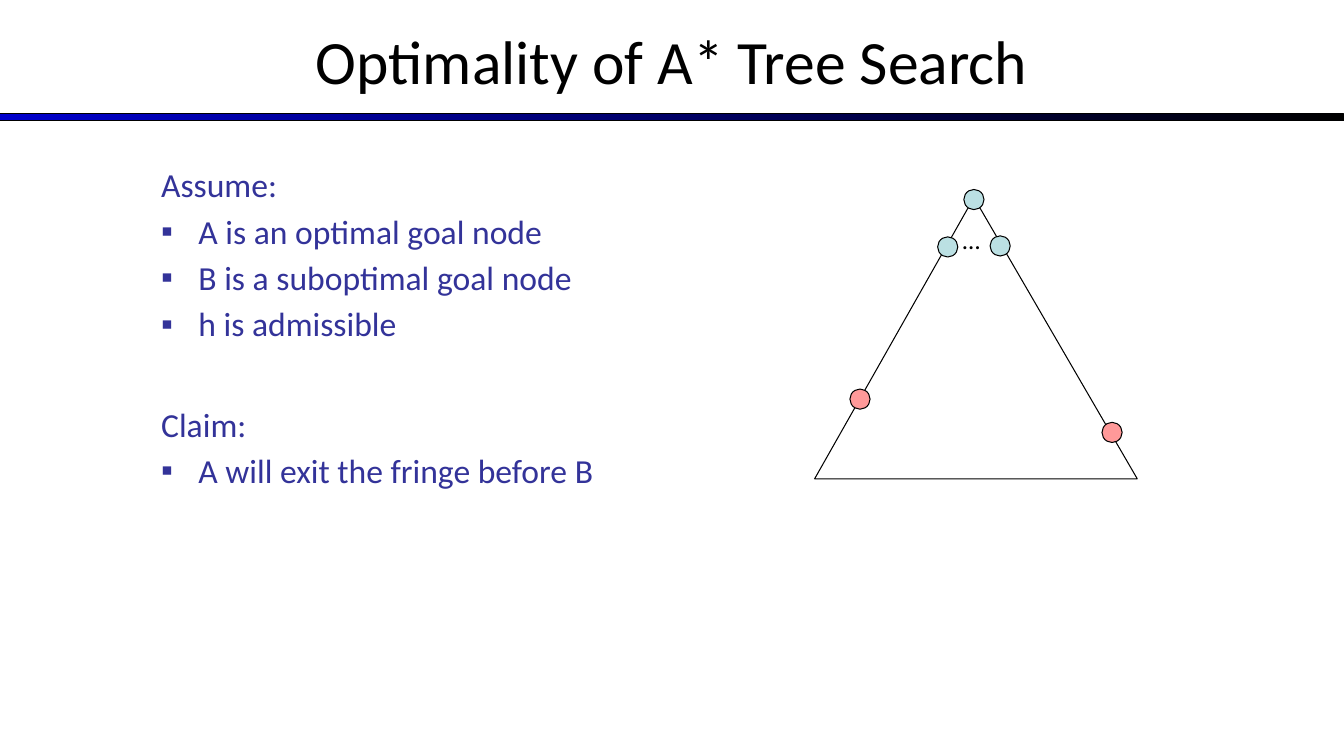
from lxml import etree
from pptx import Presentation
from pptx import util as u
from pptx.dml.color import RGBColor
from pptx.enum import shapes, text
from pptx.oxml import ns

COLORS = {
    "ink": "000000",
    "body": "333399",
    "bar": "0000CC",
    "open": "BBE0E3",
    "goal": "FF9999",
}


class SlideBuilder:
    font = "Calibri"
    cell = u.Inches(0.1)
    indent = u.Inches(0.37)

    def __init__(self, columns, rows):
        self.deck = Presentation()
        self.deck.slide_width, self.deck.slide_height = self.grid(columns, rows)
        self.slide = self.deck.slides.add_slide(self.deck.slide_layouts[6])

    def grid(self, *cells):
        return [u.Emu(round(count * self.cell)) for count in cells]

    def color(self, name):
        return RGBColor.from_string(COLORS[name])

    def outline(self, shape):
        shape.shadow.inherit = False
        shape.line.color.rgb = self.color("ink")
        shape.line.width = u.Pt(0.75)

    def gradient_bar(self, left, top, width, height, stops):
        bar = self.slide.shapes.add_shape(
            shapes.MSO_SHAPE.RECTANGLE, *self.grid(left, top, width, height))
        self.outline(bar)
        bar.fill.gradient()
        bar.fill.gradient_angle = 0
        for stop, position, name in zip(bar.fill.gradient_stops, (0, 1), stops):
            stop.position = position
            stop.color.rgb = self.color(name)

    def textbox(self, left, top, width, height, content, size, color="ink",
                align=text.PP_ALIGN.LEFT, anchor=text.MSO_ANCHOR.TOP):
        box = self.slide.shapes.add_textbox(*self.grid(left, top, width, height))
        frame = box.text_frame
        frame.text = content
        frame.word_wrap = True
        frame.vertical_anchor = anchor
        for para in frame.paragraphs:
            para.alignment = align
            for span in para.runs:
                span.font.name = self.font
                span.font.size = u.Pt(size)
                span.font.color.rgb = self.color(color)
        return frame

    def bullet(self, para):
        properties = para._p.get_or_add_pPr()
        properties.set("marL", str(self.indent))
        properties.set("indent", str(-self.indent))
        etree.SubElement(properties, ns.qn("a:buFont"), typeface="Arial")
        etree.SubElement(properties, ns.qn("a:buChar"), char="▪")

    def sections(self, left, top, width, height, groups, size, gap, group_gap):
        lines = [(line, index > 0)
                 for heading, items in groups
                 for index, line in enumerate([heading, *items])]
        content = "\n".join(line for line, _ in lines)
        frame = self.textbox(left, top, width, height, content, size, "body")
        for number, (para, (_, bulleted)) in enumerate(zip(frame.paragraphs, lines)):
            if number:
                para.space_before = u.Pt(gap if bulleted else group_gap)
            if bulleted:
                self.bullet(para)

    def polygon(self, *corners):
        start, *others = [self.grid(*corner) for corner in corners]
        builder = self.slide.shapes.build_freeform(*start)
        builder.add_line_segments(others, close=True)
        polygon = builder.convert_to_shape()
        polygon.fill.background()
        self.outline(polygon)

    def node(self, x, y, color, diameter=2):
        node = self.slide.shapes.add_shape(
            shapes.MSO_SHAPE.OVAL,
            *self.grid(x - diameter / 2, y - diameter / 2, diameter, diameter))
        node.fill.solid()
        node.fill.fore_color.rgb = self.color(color)
        self.outline(node)


def main():
    page = SlideBuilder(133.3, 75)
    page.gradient_bar(0, 11.3, 133.3, 0.7, ("bar", "ink"))
    page.textbox(0, -0.3, 133.3, 12.5, "Optimality of A* Tree Search", 44,
                 align=text.PP_ALIGN.CENTER, anchor=text.MSO_ANCHOR.MIDDLE)
    page.sections(15, 15.8, 55, 49.5, [
        ("Assume:", ["A is an optimal goal node",
                     "B is a suboptimal goal node",
                     "h is admissible"]),
        ("Claim:", ["A will exit the fringe before B"]),
    ], size=24, gap=4.3, group_gap=42.8)

    page.polygon((80.8, 47.5), (112.8, 47.5), (96.6, 19.6))
    page.textbox(94.5, 21.8, 3, 4, "…", 18)
    for x, y, color in [(94, 24.5, "open"), (99.2, 24.4, "open"),
                        (110.3, 42.9, "goal"), (85.3, 39.6, "goal"),
                        (96.6, 19.8, "open")]:
        page.node(x, y, color)

    page.deck.save("out.pptx")


if __name__ == "__main__":
    main()
